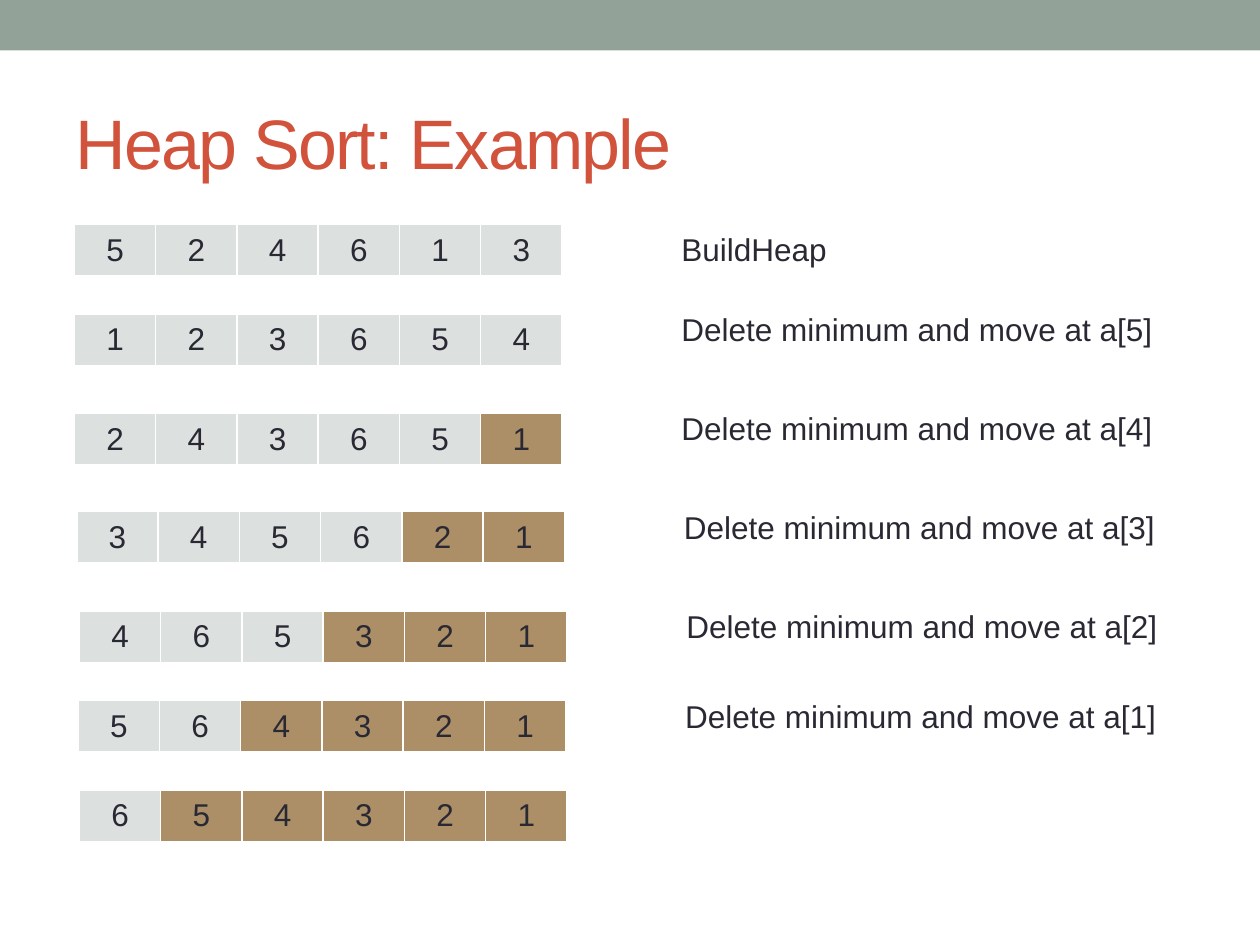
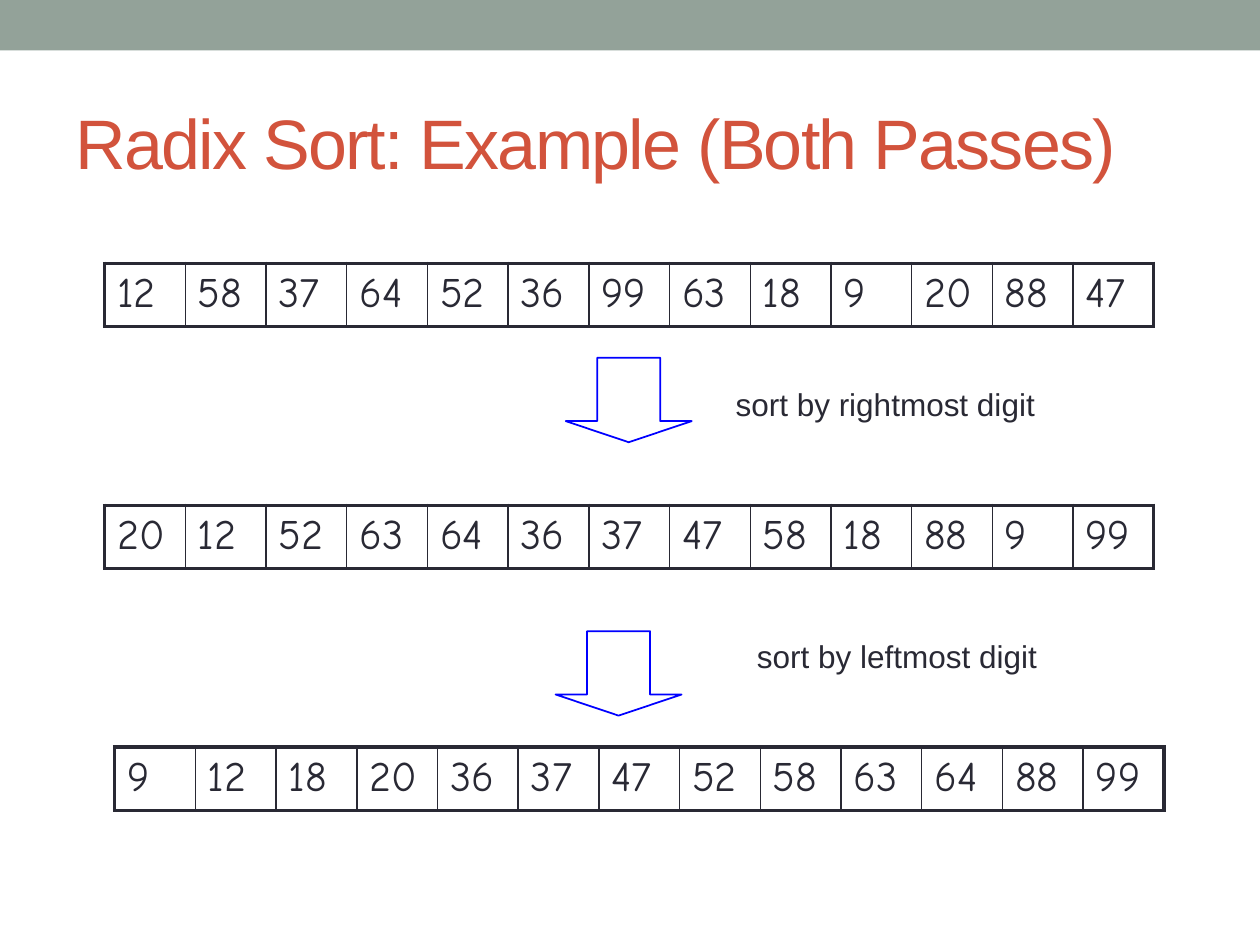
"""Build two slides that trace heap sort and radix sort on small arrays."""
from dataclasses import dataclass

from lxml import etree
from pptx import Presentation
from pptx.dml.color import RGBColor
from pptx.enum.shapes import MSO_SHAPE
from pptx.enum.text import MSO_ANCHOR, PP_ALIGN
from pptx.oxml.ns import qn
from pptx.util import Inches, Pt

RECT, DOWN_ARROW = MSO_SHAPE.RECTANGLE, MSO_SHAPE.DOWN_ARROW
TOP, MIDDLE = MSO_ANCHOR.TOP, MSO_ANCHOR.MIDDLE
LEFT, CENTER = PP_ALIGN.LEFT, PP_ALIGN.CENTER


@dataclass(frozen=True)
class Theme:
    band: str = "93A299"
    title: str = "D2533C"
    text: str = "292934"
    unsorted: str = "DCE0DE"
    sorted: str = "AD8F67"
    white: str = "FFFFFF"
    arrow: str = "0000FF"
    font: str = "Arial"
    digit_font: str = "Comic Neue"
    title_size: int = 40
    digit_size: int = 24
    body_size: int = 18
    thin: float = 1
    thick: float = 2.25


T = Theme()

HEAP_TITLE = "Heap Sort: Example"
HEAP_STEPS = [
    # left, top, values, sorted cells, next step
    (0.59, 1.78, (5, 2, 4, 6, 1, 3), 0, "BuildHeap"),
    (0.59, 2.49, (1, 2, 3, 6, 5, 4), 0, "Delete minimum and move at a[5]"),
    (0.59, 3.28, (2, 4, 3, 6, 5, 1), 1, "Delete minimum and move at a[4]"),
    (0.61, 4.06, (3, 4, 5, 6, 2, 1), 2, "Delete minimum and move at a[3]"),
    (0.63, 4.85, (4, 6, 5, 3, 2, 1), 3, "Delete minimum and move at a[2]"),
    (0.62, 5.56, (5, 6, 4, 3, 2, 1), 4, "Delete minimum and move at a[1]"),
    (0.63, 6.27, (6, 5, 4, 3, 2, 1), 5, None),
]
HEAP_W, HEAP_H = 3.87, 0.41
LABEL_DX, LABEL_RISE = 4.72, 0.08

RADIX_TITLE = "Radix Sort: Example (Both Passes)"
RADIX_ROWS = [
    (0.83, 2.09, (12, 58, 37, 64, 52, 36, 99, 63, 18, 9, 20, 88, 47)),
    (0.83, 4.01, (20, 12, 52, 63, 64, 36, 37, 47, 58, 18, 88, 9, 99)),
    (0.91, 5.93, (9, 12, 18, 20, 36, 37, 47, 52, 58, 63, 64, 88, 99)),
]
RADIX_W, RADIX_H = 8.33, 0.5
RADIX_PASSES = [
    # arrow left and top, label left and top, label
    (4.49, 2.84, 5.74, 3.01, "sort by rightmost digit"),
    (4.41, 5.01, 5.91, 5.01, "sort by leftmost digit"),
]


def rgb(color):
    return RGBColor.from_string(color)


def write(tf, text, size, color=T.text, font=T.font, align=LEFT):
    p = tf.paragraphs[0]
    p.alignment = align
    r = p.add_run()
    r.text = text
    r.font.size, r.font.name = Pt(size), font
    r.font.color.rgb = rgb(color)
    return r


def add_text(s, text, x, y, w, h, size=T.body_size, color=T.text, anchor=TOP):
    tf = s.shapes.add_textbox(*map(Inches, (x, y, w, h))).text_frame
    tf.word_wrap, tf.vertical_anchor = True, anchor
    return write(tf, text, size, color)


def add_shape(s, kind, x, y, w, h):
    sp = s.shapes.add_shape(kind, *map(Inches, (x, y, w, h)))
    sp.shadow.inherit = False
    return sp


def add_slide(prs, title):
    s = prs.slides.add_slide(prs.slide_layouts[6])
    band = add_shape(s, RECT, 0, 0, 10, 0.4)
    band.fill.solid()
    band.fill.fore_color.rgb = rgb(T.band)
    band.line.fill.background()
    r = add_text(s, title, 0.5, 0.58, 9, 1.08, T.title_size, T.title, MIDDLE)
    r.font._element.set("spc", "-100")
    return s


def set_borders(cell, color, widths):
    tc_pr = cell._tc.get_or_add_tcPr()
    for side, width in zip("LRTB", widths):
        ln = etree.SubElement(tc_pr, qn(f"a:ln{side}"), w=str(Pt(width)))
        fill = etree.SubElement(ln, qn("a:solidFill"))
        etree.SubElement(fill, qn("a:srgbClr"), val=color)


def add_array(s, values, x, y, w, h):
    n = len(values)
    table = s.shapes.add_table(1, n, *map(Inches, (x, y, w, h))).table
    table.first_row = table.horz_banding = False
    for col in table.columns:
        col.width = Inches(w / n)
    return list(table.rows[0].cells)


def add_heap_array(s, values, sorted_count, x, y):
    first_sorted = len(values) - sorted_count
    for i, cell in enumerate(add_array(s, values, x, y, HEAP_W, HEAP_H)):
        set_borders(cell, T.white, [T.thin] * 4)
        cell.fill.solid()
        cell.fill.fore_color.rgb = rgb(T.sorted if i >= first_sorted else T.unsorted)
        cell.vertical_anchor = MIDDLE
        write(cell.text_frame, str(values[i]), T.body_size, align=CENTER)


def add_radix_array(s, values, x, y):
    last = len(values) - 1
    for i, cell in enumerate(add_array(s, values, x, y, RADIX_W, RADIX_H)):
        left = T.thick if i == 0 else T.thin
        right = T.thick if i == last else T.thin
        set_borders(cell, T.text, [left, right, T.thick, T.thick])
        cell.fill.background()
        write(cell.text_frame, str(values[i]), T.digit_size, font=T.digit_font)


def build_heap_slide(prs):
    s = add_slide(prs, HEAP_TITLE)
    for i, (x, y, values, sorted_count, label) in enumerate(HEAP_STEPS):
        add_heap_array(s, values, sorted_count, x, y)
        if label:
            label_y = y - LABEL_RISE if i else y
            add_text(s, label, x + LABEL_DX, label_y, 3.94, 0.4)


def build_radix_slide(prs):
    s = add_slide(prs, RADIX_TITLE)
    for x, y, values in RADIX_ROWS:
        add_radix_array(s, values, x, y)
    for x, y, label_x, label_y, label in RADIX_PASSES:
        arrow = add_shape(s, DOWN_ARROW, x, y, 1, 0.67)
        arrow.adjustments[0], arrow.adjustments[1] = 0.5, 0.25
        arrow.fill.background()
        arrow.line.color.rgb = rgb(T.arrow)
        arrow.line.width = Pt(T.thin)
        add_text(s, label, label_x, label_y, 3.3, 0.43)


def main():
    prs = Presentation()
    prs.slide_width, prs.slide_height = Inches(10), Inches(7.5)
    build_heap_slide(prs)
    build_radix_slide(prs)
    prs.save("out.pptx")


if __name__ == "__main__":
    main()
